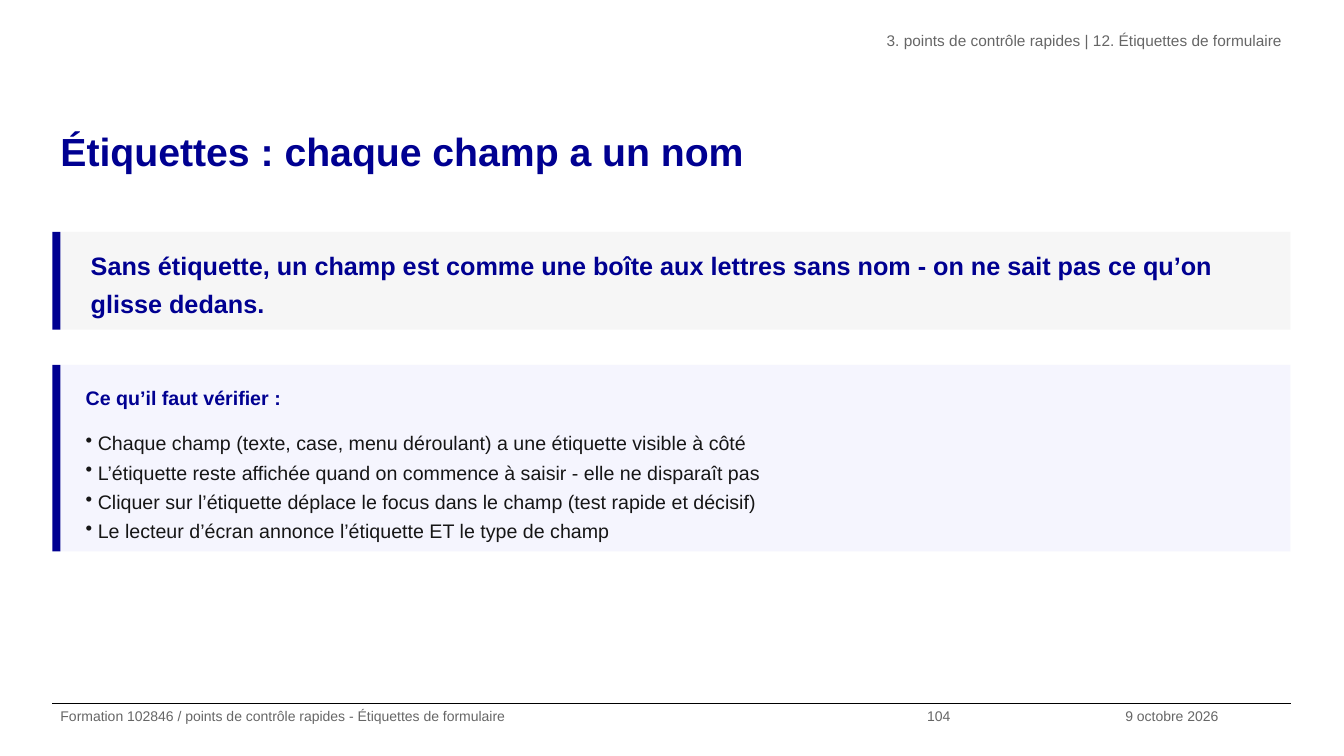
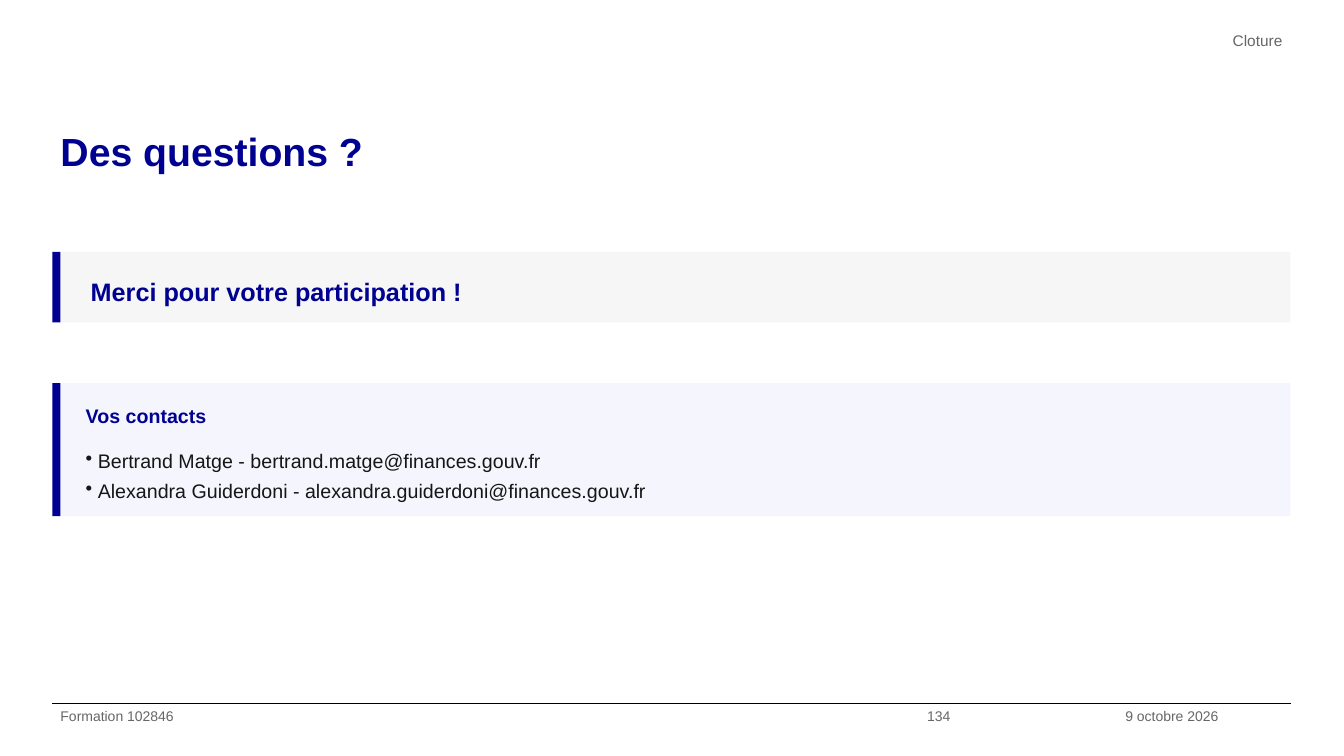
from dataclasses import dataclass
from itertools import accumulate

from lxml.etree import SubElement
from pptx import Presentation
from pptx.dml.color import RGBColor as Rgb
from pptx.enum.shapes import MSO_CONNECTOR as Connector, MSO_SHAPE as Shape
from pptx.enum.text import MSO_ANCHOR as Anchor, PP_ALIGN as Align
from pptx.oxml.ns import qn
from pptx.util import Inches, Pt


@dataclass(frozen=True)
class Theme:
    font: str = "Arial"
    navy: str = "000091"
    ink: str = "161616"
    muted: str = "666666"
    rule: str = "000000"
    quote_fill: str = "F6F6F6"
    checklist_fill: str = "F5F5FE"
    title_size: int = 28
    quote_size: int = 18
    body_size: int = 14
    header_size: int = 11
    footer_size: int = 10
    leading: float = 1.25


THEME = Theme()
PAGE_W, PAGE_H = 13.33, 7.5
ROW = 0.1
MARGIN = 0.52
CONTENT_W = 12.28
RIGHT = MARGIN + CONTENT_W
ACCENT_W = 0.08
PAD = 0.1
HEADER_SHARE = 0.65
FOOTER_TOP = 6.98
FOOTER_SHARES = (0.7, 0.16, 0.14)
HEADING_H = 0.35
BULLET_INDENT = 0.12

TITLE = dict(size=THEME.title_size, color=THEME.navy, bold=True)
QUOTE = dict(size=THEME.quote_size, color=THEME.navy, bold=True)
HEADING = dict(size=THEME.body_size, color=THEME.navy, bold=True)
BODY = dict(size=THEME.body_size, color=THEME.ink, bold=False)
HEADER = dict(size=THEME.header_size, color=THEME.muted, bold=False)
FOOTER = dict(size=THEME.footer_size, color=THEME.muted, bold=False)


def assign(target, values):
    for name, value in values.items():
        setattr(target, name, value)


def add_bullet(paragraph):
    properties = paragraph._p.get_or_add_pPr()
    indent = Inches(BULLET_INDENT)
    properties.set("marL", str(indent))
    properties.set("indent", str(-indent))
    SubElement(properties, qn("a:buChar")).set("char", "•")


def add_text(slide, box, lines, style, inset=0.0, anchor=Anchor.TOP,
             align=Align.LEFT, bulleted=False):
    frame = slide.shapes.add_textbox(*map(Inches, box)).text_frame
    assign(frame, dict(word_wrap=True, vertical_anchor=anchor,
                       margin_left=Inches(0.08), margin_right=Inches(0.08),
                       margin_top=Inches(inset), margin_bottom=Inches(inset)))
    for index, line in enumerate(lines):
        paragraph = frame.add_paragraph() if index else frame.paragraphs[0]
        assign(paragraph, dict(text=line, alignment=align,
                               line_spacing=THEME.leading))
        if bulleted:
            add_bullet(paragraph)
        font = paragraph.runs[0].font
        assign(font, dict(name=THEME.font, size=Pt(style["size"]),
                          bold=style["bold"]))
        font.color.rgb = Rgb.from_string(style["color"])


def add_block(slide, box, color):
    block = slide.shapes.add_shape(Shape.RECTANGLE, *map(Inches, box))
    block.shadow.inherit = False
    block.fill.solid()
    block.fill.fore_color.rgb = Rgb.from_string(color)
    block.line.fill.background()


def add_panel(slide, top, height, color):
    inner = MARGIN + ACCENT_W
    add_block(slide, (inner, top, RIGHT - inner, height), color)
    add_block(slide, (MARGIN, top, ACCENT_W, height), THEME.navy)


def add_quote(slide, rows, text):
    top, height = (count * ROW for count in rows)
    left = MARGIN + 0.3
    add_panel(slide, top, height, THEME.quote_fill)
    add_text(slide, (left, top + PAD, RIGHT - PAD - left, height - 2 * PAD),
             [text], QUOTE, inset=0.05, anchor=Anchor.MIDDLE)


def add_checklist(slide, rows, heading, items):
    top, height = (count * ROW for count in rows)
    left = MARGIN + 0.25
    width = RIGHT - PAD - left
    list_offset = HEADING_H + 2 * PAD
    add_panel(slide, top, height, THEME.checklist_fill)
    add_text(slide, (left, top + PAD, width, HEADING_H), [heading], HEADING,
             inset=0.05)
    add_text(slide, (left, top + list_offset, width,
                     height - list_offset - PAD),
             items, BODY, inset=0.05, bulleted=True)


def add_footer(slide, texts):
    rule = slide.shapes.add_connector(
        Connector.STRAIGHT,
        *map(Inches, (MARGIN, FOOTER_TOP, RIGHT, FOOTER_TOP)))
    rule.line.color.rgb = Rgb.from_string(THEME.rule)
    rule.line.width = Pt(0.8)
    SubElement(rule._element.spPr, qn("a:effectLst"))
    starts = accumulate(FOOTER_SHARES, initial=0)
    for text, start, share in zip(texts, starts, FOOTER_SHARES):
        add_text(slide, (MARGIN + start * CONTENT_W, FOOTER_TOP,
                         share * CONTENT_W, PAGE_H - FOOTER_TOP),
                 [text], FOOTER)


def add_page(deck, section, title, course, number):
    slide = deck.slides.add_slide(deck.slide_layouts[6])
    header_w = HEADER_SHARE * CONTENT_W
    add_text(slide, (MARGIN, 1.15, CONTENT_W, 1.05), [title], TITLE)
    add_text(slide, (RIGHT - header_w, 0.26, header_w, 0.52), [section],
             HEADER, align=Align.RIGHT)
    add_footer(slide, (course, number, "9 octobre 2026"))
    return slide


def main():
    deck = Presentation()
    assign(deck, dict(slide_width=Inches(PAGE_W), slide_height=Inches(PAGE_H)))

    labels = add_page(
        deck, "3. points de contrôle rapides | 12. Étiquettes de formulaire",
        "Étiquettes : chaque champ a un nom",
        "Formation 102846 / points de contrôle rapides - Étiquettes de formulaire",
        "104")
    add_quote(labels, (23, 9.7),
              "Sans étiquette, un champ est comme une boîte aux lettres sans nom"
              " - on ne sait pas ce qu’on glisse dedans.")
    add_checklist(labels, (36.2, 18.5), "Ce qu’il faut vérifier :", [
        "Chaque champ (texte, case, menu déroulant) a une étiquette visible à côté",
        "L’étiquette reste affichée quand on commence à saisir - elle ne disparaît pas",
        "Cliquer sur l’étiquette déplace le focus dans le champ (test rapide et décisif)",
        "Le lecteur d’écran annonce l’étiquette ET le type de champ",
    ])

    questions = add_page(deck, "Cloture", "Des questions ?",
                         "Formation 102846", "134")
    add_quote(questions, (25, 7), "Merci pour votre participation !")
    add_checklist(questions, (38, 13.2), "Vos contacts", [
        "Bertrand Matge - bertrand.matge@finances.gouv.fr",
        "Alexandra Guiderdoni - alexandra.guiderdoni@finances.gouv.fr",
    ])

    deck.save("out.pptx")


if __name__ == "__main__":
    main()
